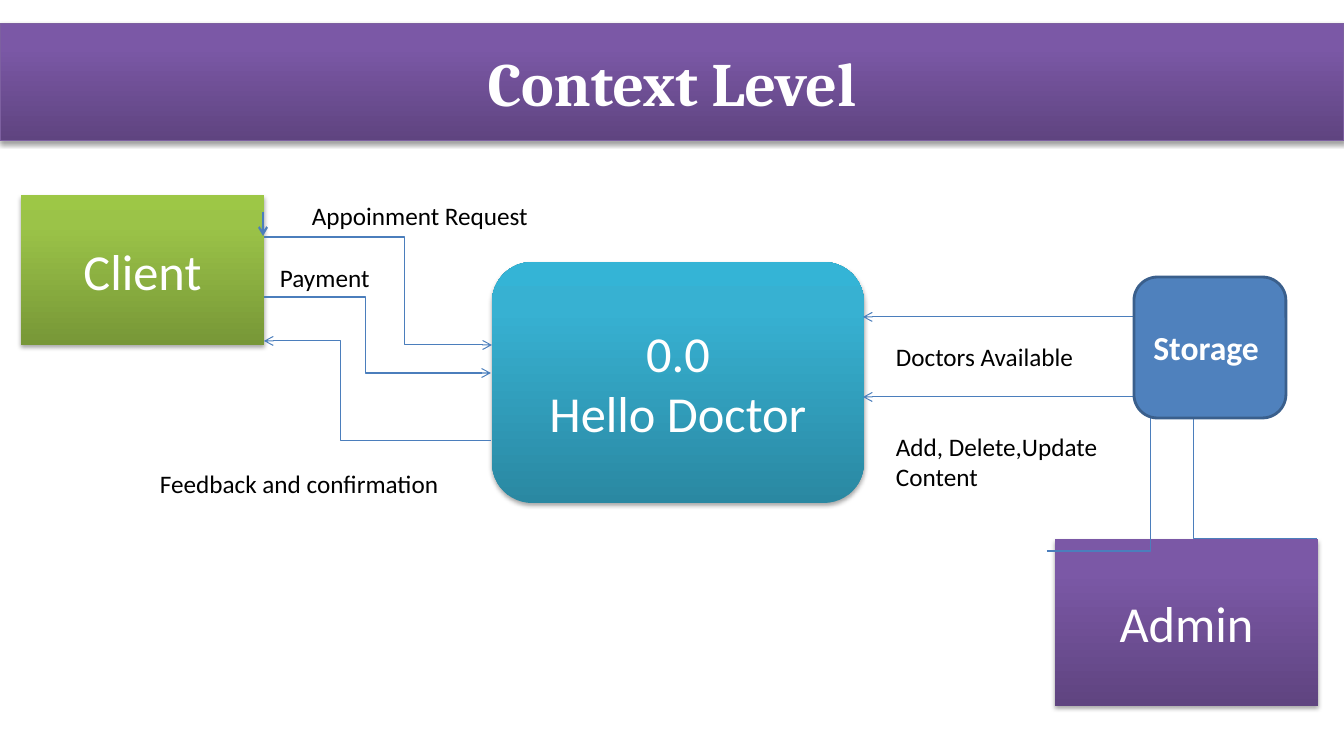
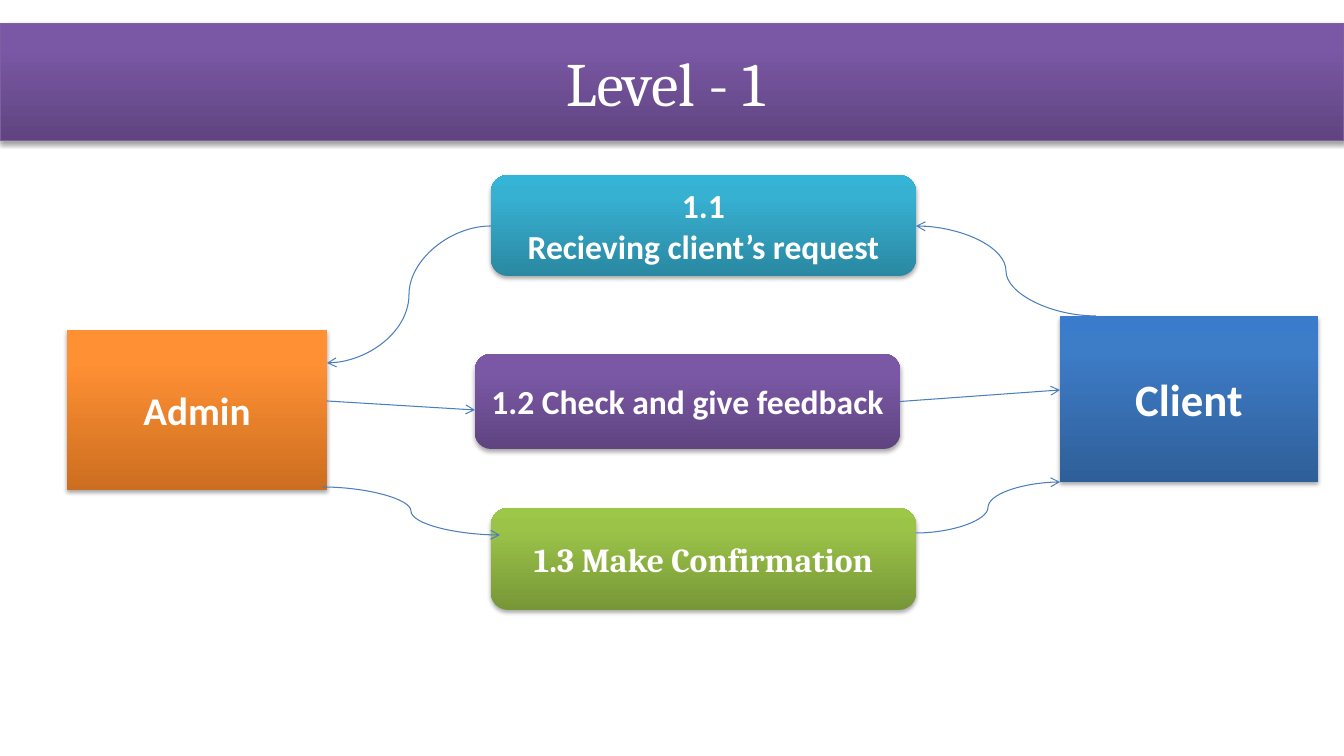
import copy

import pptx
import pptx.dml.color
import pptx.enum.shapes
import pptx.enum.text
import pptx.oxml.ns
import pptx.util
from lxml import etree

RGB = pptx.dml.color.RGBColor
SHAPE = pptx.enum.shapes.MSO_SHAPE
LINK = pptx.enum.shapes.MSO_CONNECTOR
qn = pptx.oxml.ns.qn

# Slide grid
EMU_PER_PX = 914400 / 100.8
SLIDE_WIDTH, SLIDE_HEIGHT = 1344, 756

# Colours; each gradient runs from the bottom edge to the top
WHITE = RGB(0xFF, 0xFF, 0xFF)
BLACK = RGB(0x00, 0x00, 0x00)
FLOW_BLUE = RGB(0x4B, 0x7E, 0xBC)
BAND_EDGE = RGB(0x7D, 0x60, 0xA0)
STORAGE_FILL = RGB(0x4F, 0x81, 0xBD)
STORAGE_EDGE = RGB(0x3A, 0x5F, 0x8C)
PURPLE = (RGB(0x5F, 0x44, 0x80), RGB(0x7B, 0x58, 0xA6), RGB(0x7C, 0x57, 0xA8))
TEAL = (RGB(0x2A, 0x88, 0xA2), RGB(0x37, 0xB1, 0xD2), RGB(0x34, 0xB4, 0xD6))
GREEN = (RGB(0x77, 0x97, 0x37), RGB(0x9B, 0xC3, 0x48), RGB(0x9D, 0xC7, 0x46))
ORANGE = (RGB(0xCC, 0x6E, 0x20), RGB(0xFF, 0x90, 0x34), RGB(0xFF, 0x91, 0x36))
BLUE = (RGB(0x2F, 0x5F, 0x99), RGB(0x3D, 0x7C, 0xC7), RGB(0x3A, 0x7C, 0xCB))
GRADIENT_STOPS = (0, 0.8, 1)

BODY_FONT = "Calibri"
TITLE_FONT = "Cambria"


def px(*lengths):
    return [pptx.util.Emu(round(length * EMU_PER_PX)) for length in lengths]


def write(frame, text, size, color, font=BODY_FONT, bold=False, align=None):
    frame.text = text
    for paragraph in frame.paragraphs:
        paragraph.alignment = align
        for run in paragraph.runs:
            run.font.size = pptx.util.Pt(size)
            run.font.name = font
            run.font.bold = bold
            run.font.color.rgb = color


def paint_gradient(shape, colors):
    shape.fill.gradient()
    shape.fill.gradient_angle = 90
    stop_list = shape._element.spPr.find(".//" + qn("a:gsLst"))
    stop_list.append(copy.deepcopy(stop_list[-1]))
    for stop, position, color in zip(shape.fill.gradient_stops, GRADIENT_STOPS, colors):
        stop.position = position
        stop.color.rgb = color


def cast_shadow(shape):
    effects = shape._element.spPr.find(qn("a:effectLst"))
    shadow = etree.SubElement(effects, qn("a:outerShdw"), blurRad="40000",
                              dist="23000", dir="5400000", rotWithShape="0")
    black = etree.SubElement(shadow, qn("a:srgbClr"), val="000000")
    etree.SubElement(black, qn("a:alpha"), val="35000")


def add_node(slide, box, text, fill, size, kind=SHAPE.RECTANGLE,
             font=BODY_FONT, bold=False, edge=None, edge_width=0.75):
    """Box with centred white text; a fill of several colours is a shadowed gradient."""
    node = slide.shapes.add_shape(kind, *px(*box))
    node.shadow.inherit = False
    if isinstance(fill, RGB):
        node.fill.solid()
        node.fill.fore_color.rgb = fill
    else:
        paint_gradient(node, fill)
        cast_shadow(node)
    if edge is None:
        node.line.fill.background()
    else:
        node.line.color.rgb = edge
        node.line.width = pptx.util.Pt(edge_width)
    node.text_frame.word_wrap = True
    node.text_frame.vertical_anchor = pptx.enum.text.MSO_ANCHOR.MIDDLE
    write(node.text_frame, text, size, WHITE, font, bold,
          pptx.enum.text.PP_ALIGN.CENTER)
    return node


def add_title(slide, text, bold=False):
    add_node(slide, (0, 23, SLIDE_WIDTH, 118), text, PURPLE, 44,
             font=TITLE_FONT, bold=bold, edge=BAND_EDGE)


def add_label(slide, box, text, wrap=False):
    label = slide.shapes.add_textbox(*px(*box))
    label.text_frame.word_wrap = wrap
    write(label.text_frame, text, 18, BLACK)


def add_flow(slide, start, end, kind=LINK.STRAIGHT, bend_x=None, width=0.75):
    """Arrow from start to end; bend_x places the middle leg of an elbow."""
    flow = slide.shapes.add_connector(kind, *px(*start, *end))
    flow.line.color.rgb = FLOW_BLUE
    flow.line.width = pptx.util.Pt(width)
    properties = flow._element.spPr
    etree.SubElement(properties.find(qn("a:ln")), qn("a:tailEnd"), type="arrow")
    etree.SubElement(properties, qn("a:effectLst"))
    if bend_x is not None:
        share = (bend_x - start[0]) / (end[0] - start[0])
        geometry = properties.find(qn("a:prstGeom"))
        guides = geometry.find(qn("a:avLst"))
        if guides is None:
            guides = etree.SubElement(geometry, qn("a:avLst"))
        etree.SubElement(guides, qn("a:gd"), name="adj1",
                         fmla=f"val {round(share * 100000)}")
    return flow


def build_context_level(slide):
    add_title(slide, "Context Level", bold=True)

    # Process and outside parties
    add_node(slide, (492, 262, 372, 241), "0.0\nHello Doctor", TEAL, 36,
             SHAPE.ROUNDED_RECTANGLE)
    add_node(slide, (21, 195, 243, 150), "Client", GREEN, 36)
    add_node(slide, (1055, 539, 263, 167), "Admin", PURPLE, 36)

    # Data flows
    for start, end, bend_x in (
        ((264, 237), (492, 345), 405),
        ((264, 297), (491, 373), 366),
        ((491, 441), (264, 341), 341),
        ((1317, 539), (863, 317), 1194),
        ((1047, 551), (863, 397), 1151),
    ):
        add_flow(slide, start, end, LINK.ELBOW, bend_x)
    add_flow(slide, (263, 212), (263, 236), width=1.5)

    # Flow labels
    add_label(slide, (302, 195, 245, 40), "Appoinment Request")
    add_label(slide, (270, 257, 111, 40), "Payment")
    add_label(slide, (150, 463, 302, 40), "Feedback and confirmation")
    add_label(slide, (886, 336, 200, 40), "Doctors Available")
    add_label(slide, (886, 426, 256, 72), "Add, Delete,Update Content", wrap=True)

    # Storage covers the flows that pass behind it
    add_node(slide, (1134, 277, 152, 141), "Storage ", STORAGE_FILL, 24,
             SHAPE.ROUNDED_RECTANGLE, bold=True, edge=STORAGE_EDGE, edge_width=2)


def build_level_one(slide):
    add_title(slide, "Level - 1 ")

    # Processes
    add_node(slide, (491, 175, 425, 101), "1.1\n Recieving client’s request ",
             TEAL, 24, SHAPE.ROUNDED_RECTANGLE, bold=True)
    check = add_node(slide, (475, 354, 425, 95), "1.2 Check and give feedback",
                     PURPLE, 24, SHAPE.ROUNDED_RECTANGLE, bold=True)
    add_node(slide, (491, 508, 425, 102), "1.3 Make Confirmation", GREEN, 24,
             SHAPE.ROUNDED_RECTANGLE, font=TITLE_FONT, bold=True)

    # Outside parties
    add_node(slide, (67, 330, 260, 160), "Admin", ORANGE, 28, bold=True)
    add_node(slide, (1060, 316, 258, 166), "Client", BLUE, 32, bold=True)

    # Data flows
    for start, end in (
        ((1096, 316), (916, 226)),
        ((491, 226), (327, 363)),
        ((322, 487), (500, 535)),
        ((916, 533), (1060, 482)),
    ):
        add_flow(slide, start, end, LINK.CURVE)
    add_flow(slide, (327, 401), (475, 410))
    feedback = add_flow(slide, (900, 401), (1060, 390))
    feedback.begin_connect(check, 3)


def main():
    deck = pptx.Presentation()
    deck.slide_width, deck.slide_height = px(SLIDE_WIDTH, SLIDE_HEIGHT)
    blank = deck.slide_layouts[6]
    for build in (build_context_level, build_level_one):
        build(deck.slides.add_slide(blank))
    deck.save("out.pptx")


if __name__ == "__main__":
    main()
